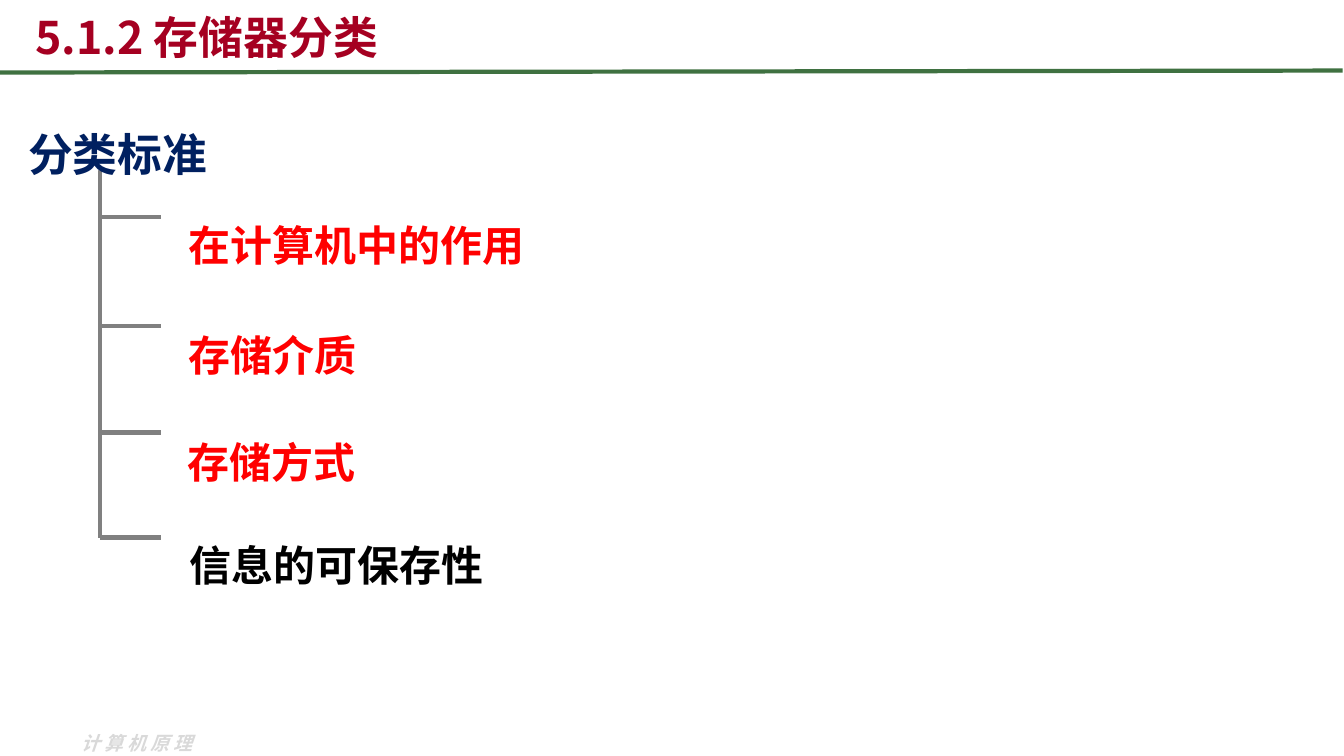
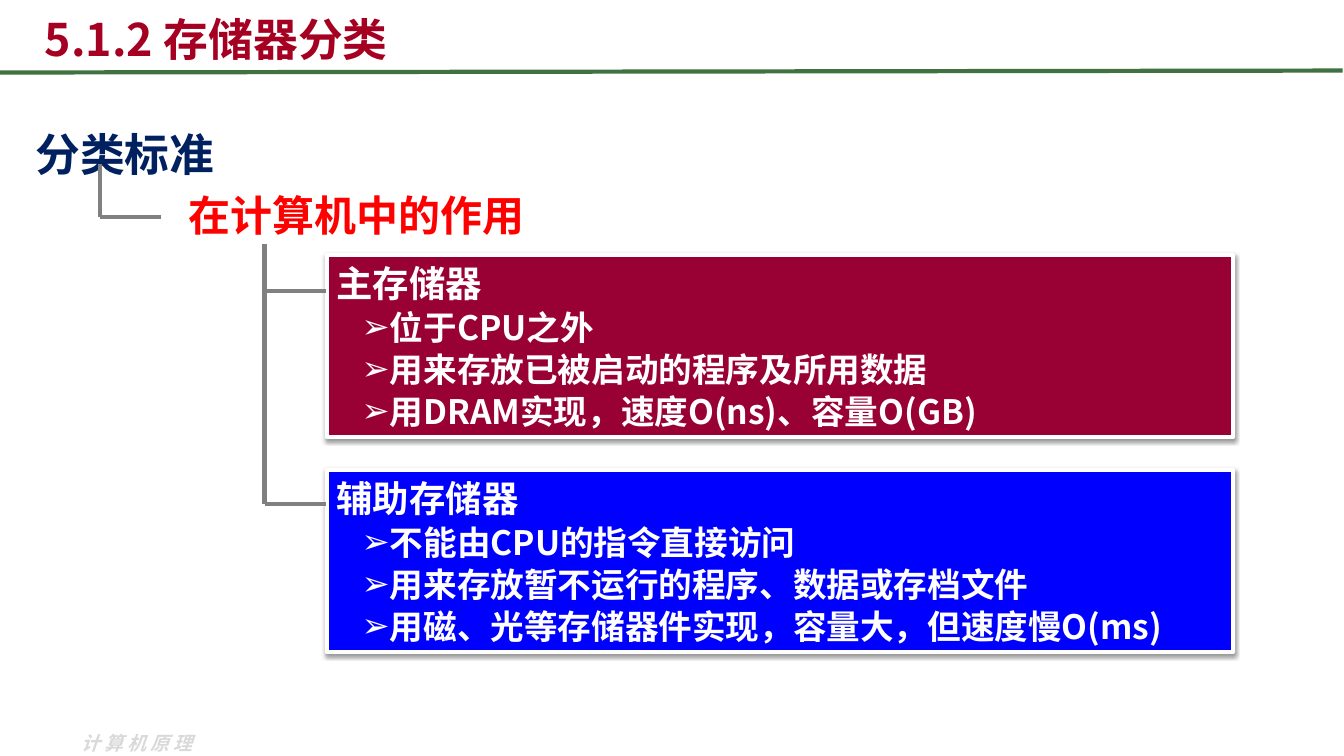
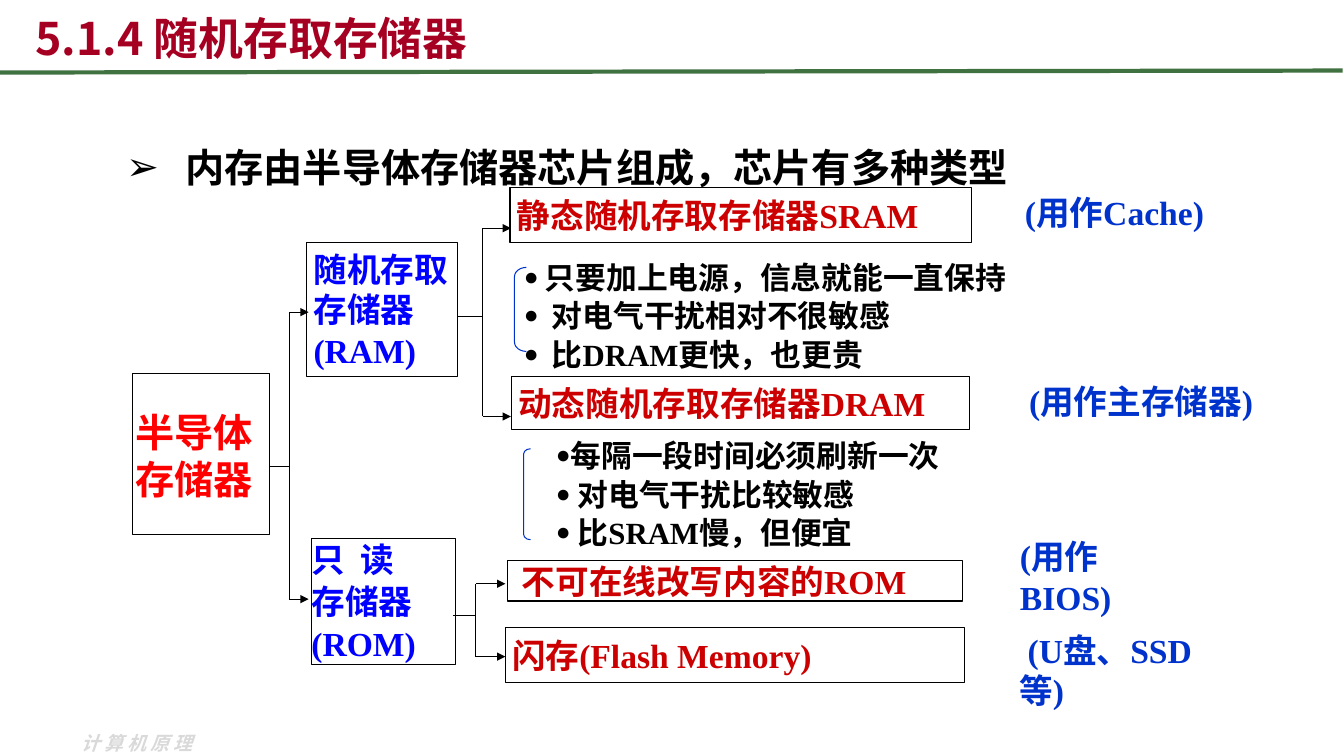
from lxml.etree import SubElement
from pptx import Presentation
from pptx.dml.color import RGBColor
from pptx.enum.shapes import MSO_CONNECTOR as Connector, MSO_SHAPE as Preset
from pptx.enum.text import MSO_ANCHOR as Anchor, PP_ALIGN as Align
from pptx.oxml.ns import qn
from pptx.util import Pt

COLORS = {
    "title": "A50021", "rule": "3F7141", "footer": "D9D9D9", "root": "002060",
    "red": "FF0000", "gray": "808080", "black": "000000", "white": "FFFFFF",
    "main": "990033", "blue": "0000FF", "chip": "CC0000", "usage": "0033CC",
}
SANS = "Noto Sans CJK SC"
SERIF = "Times New Roman"
INSET = (7.2, 3.6, 7.2, 3.6)
SINGLE, WIDE = 1.2, 1.9


def rgb(name):
    return RGBColor.from_string(COLORS[name])


def add_bullet(para, char, left, hang, scale, font):
    props = para._p.get_or_add_pPr()
    props.set("marL", str(Pt(left)))
    props.set("indent", str(Pt(-hang)))
    SubElement(props, qn("a:buSzPct"), val=str(scale * 1000))
    SubElement(props, qn("a:buFont"), typeface=font)
    SubElement(props, qn("a:buChar"), char=char)


def write(box, lines, size=24, color="black", font=SANS, leading=SINGLE,
          align=Align.LEFT, bullet=None, italic=False, tracking=0):
    frame = box.text_frame
    for line in lines:
        first = not frame.text
        para = frame.paragraphs[0] if first else frame.add_paragraph()
        if bullet:
            add_bullet(para, *bullet)
        para.alignment = align
        para.line_spacing = Pt(round(size * leading, 1))
        para.space_before = Pt(0 if first else round(size * 0.05, 1))
        span = para.add_run()
        span.text = line
        span.font.size = Pt(size)
        span.font.bold = True
        span.font.italic = italic
        span.font.name = font
        span.font.color.rgb = rgb(color)
        props = span._r.get_or_add_rPr()
        SubElement(props, qn("a:ea"), typeface=SANS)
        if tracking:
            props.set("spc", str(tracking * 100))


def set_frame(box, anchor, inset, wrap=True):
    frame = box.text_frame
    frame.word_wrap = wrap
    frame.vertical_anchor = anchor
    (frame.margin_left, frame.margin_top,
     frame.margin_right, frame.margin_bottom) = map(Pt, inset)


def add_text(page, area, lines, anchor=Anchor.TOP, inset=INSET, wrap=True, **style):
    box = page.shapes.add_textbox(*map(Pt, area))
    set_frame(box, anchor, inset, wrap)
    write(box, lines, **style)
    return box


def add_panel(page, area, fill="white", line=None, width=0.75,
              anchor=Anchor.MIDDLE, inset=INSET):
    panel = page.shapes.add_shape(Preset.RECTANGLE, *map(Pt, area))
    panel.shadow.inherit = False
    panel.fill.solid()
    panel.fill.fore_color.rgb = rgb(fill)
    if line:
        panel.line.color.rgb = rgb(line)
        panel.line.width = Pt(width)
    else:
        panel.line.fill.background()
    set_frame(panel, anchor, inset)
    return panel


def add_line(page, start, end, color="black", width=0.75, arrow=False):
    line = page.shapes.add_connector(Connector.STRAIGHT, *map(Pt, (*start, *end)))
    line.line.color.rgb = rgb(color)
    line.line.width = Pt(width)
    props = line.element.find(qn("p:spPr"))
    if arrow:
        SubElement(props.find(qn("a:ln")), qn("a:tailEnd"), type="triangle")
    SubElement(props, qn("a:effectLst"))


def add_branches(page, trunk, top, arms, end, **style):
    arrow = style.pop("arrow", False)
    add_line(page, (trunk, top), (trunk, arms[-1]), **style)
    for y in arms:
        add_line(page, (trunk, y), (end, y), arrow=arrow, **style)


def add_fork(page, start, stem, trunk, arms, end):
    add_line(page, (start, stem), (trunk, stem))
    add_branches(page, trunk, arms[0], arms, end, arrow=True)


def add_page(deck, title, left=18, top=0):
    page = deck.slides.add_slide(deck.slide_layouts[6])
    add_text(page, (51, 519, 105, 24), ["计算机原理"], wrap=False, size=13.5,
             color="footer", italic=True, tracking=3)
    add_line(page, (0, 51.8), (959, 50.4), color="rule", width=3)
    add_text(page, (left, top, 864, 49), [title], anchor=Anchor.BOTTOM,
             size=32, color="title")
    return page


def add_root(page, align=Align.LEFT):
    root = add_panel(page, (13, 75.5, 152.6, 46))
    write(root, ["分类标准"], size=32, color="root", leading=WIDE, align=align)


def add_card(page, top, fill, heading, items):
    card = add_panel(page, (233.3, top, 647.3, 130), fill=fill, line="white",
                     width=3, anchor=Anchor.TOP, inset=(7.2, 4.6, 7.2, 3.6))
    effects = card.element.find(qn("p:spPr")).find(qn("a:effectLst"))
    shadow = SubElement(effects, qn("a:outerShdw"), blurRad=str(Pt(3.1)),
                        dist=str(Pt(1.6)), dir="5400000", rotWithShape="0")
    tint = SubElement(shadow, qn("a:srgbClr"), val=COLORS["black"])
    SubElement(tint, qn("a:alpha"), val="38000")
    write(card, [heading], size=26, color="white")
    write(card, items, color="white", bullet=("➢", 37, 19, 100, "DejaVu Sans"))


def add_node(page, area, lines, color, size=24, inset=(5, 1, 5, 1)):
    node = add_panel(page, area, line="black", inset=inset)
    write(node, lines, size=size, color=color, font=SERIF)


def add_traits(page, left, top, items, margin, hang, bracket):
    add_text(page, (left, top, 385, 90), items, size=22, font=SERIF,
             bullet=("●", margin, hang, 80, SERIF))
    brace = page.shapes.add_shape(Preset.LEFT_BRACKET, *map(Pt, bracket))
    brace.adjustments[0] = 0.78
    brace.shadow.inherit = False
    brace.fill.background()
    brace.line.color.rgb = rgb("usage")
    brace.line.width = Pt(0.75)


def build_criteria(deck):
    page = add_page(deck, "5.1.2 存储器分类")
    add_branches(page, 71.5, 109, (155, 233, 309, 384), 115, color="gray", width=3)
    add_root(page)
    criteria = (
        (127.5, 132, "在计算机中的作用", "red"), (127.5, 210.5, "存储介质", "red"),
        (126.7, 287.5, "存储方式", "red"), (128.2, 361, "信息的可保存性", "black"),
    )
    for left, top, text, color in criteria:
        add_text(page, (left, top, 576, 58), [text], size=30, color=color, leading=WIDE)


def build_roles(deck):
    page = add_page(deck, "5.1.2 存储器分类", left=25, top=1)
    add_root(page, align=Align.CENTER)
    add_text(page, (127.5, 132, 576, 44), ["在计算机中的作用"], size=30, color="red")
    add_card(page, 182.2, "main", "主存储器", [
        "位于CPU之外", "用来存放已被启动的程序及所用数据",
        "用DRAM实现，速度O(ns)、容量O(GB)"])
    add_card(page, 335.8, "blue", "辅助存储器", [
        "不能由CPU的指令直接访问", "用来存放暂不运行的程序、数据或存档文件",
        "用磁、光等存储器件实现，容量大，但速度慢O(ms)"])
    add_branches(page, 189, 174.5, (208, 360), 233, color="gray", width=3)
    add_branches(page, 71.5, 117, (155,), 115, color="gray", width=3)


def build_memory_tree(deck):
    page = add_page(deck, "5.1.4 随机存取存储器", top=0.5)
    add_node(page, (94.5, 266.5, 98, 115), ["半导体存储器"], "red", size=28,
             inset=(2, 5, 2, 2))
    add_node(page, (222.5, 384.5, 103, 90), ["只  读", "存储器", "(ROM)"], "blue",
             inset=(0, 3, 0, 3))
    add_node(page, (219, 173, 108, 96), ["随机存取存储器(RAM)"], "blue",
             inset=(5, 3, 5, 3))
    chips = (
        (364.3, 134, 330, 39, "静态随机存取存储器SRAM"),
        (365.3, 268.8, 327.5, 38, "动态随机存取存储器DRAM"),
        (362.3, 400.3, 325.5, 29, " 不可在线改写内容的ROM"),
        (360.8, 448.5, 328.5, 39, "闪存(Flash Memory)"),
    )
    for *area, text in chips:
        add_node(page, area, [text], "chip")
    add_fork(page, 193, 333.5, 206.8, (223, 428), 220.5)
    add_fork(page, 327, 226, 344.8, (163, 297.5), 365)
    add_fork(page, 323.5, 439.5, 340, (417, 469), 361)
    usages = (
        (725, 134, 158, 34.5, "(用作Cache)"), (728, 267, 196, 39, "(用作主存储器)"),
        (721.5, 394.5, 122, 34.5, "(用作BIOS)"), (721, 446.5, 160, 64, " (U盘、SSD等)"),
    )
    for *area, text in usages:
        add_text(page, area, [text], anchor=Anchor.MIDDLE, color="usage", font=SERIF)
    add_traits(page, 367.2, 181, [
        "只要加上电源，信息就能一直保持", " 对电气干扰相对不很敏感", " 比DRAM更快，也更贵"],
        15, 15, (367.5, 191, 8.5, 60))
    add_traits(page, 368, 308.4, [
        "每隔一段时间必须刷新一次", " 对电气干扰比较敏感", " 比SRAM慢，但便宜"],
        32, 10, (374, 320.5, 5, 65))
    add_text(page, (83, 79.5, 731, 57), ["内存由半导体存储器芯片组成，芯片有多种类型"],
             size=28, font="DejaVu Sans", leading=WIDE,
             bullet=("➢", 42.5, 42.5, 100, "DejaVu Sans"))


def main():
    deck = Presentation()
    deck.slide_width, deck.slide_height = Pt(960), Pt(540)
    build_criteria(deck)
    build_roles(deck)
    build_memory_tree(deck)
    deck.save("out.pptx")


if __name__ == "__main__":
    main()
